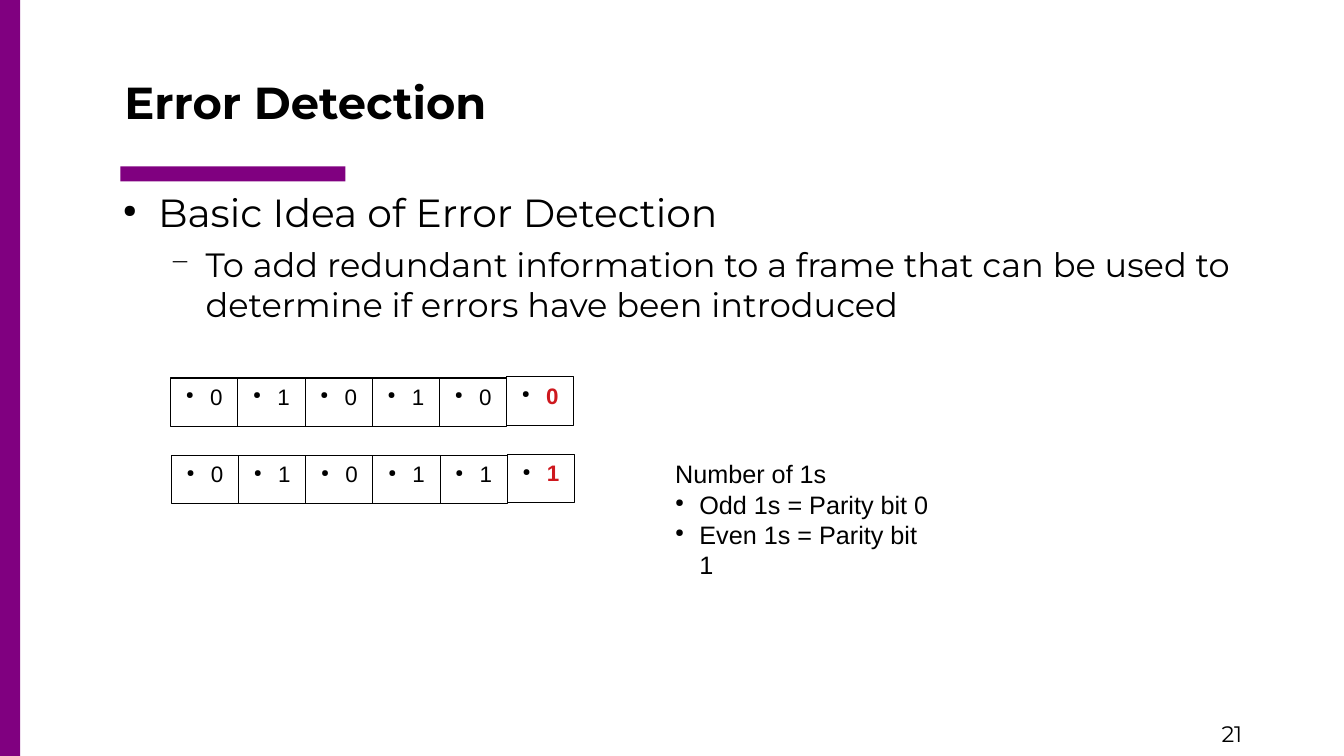
from dataclasses import dataclass

from lxml.etree import SubElement
from pptx import Presentation
from pptx.dml.color import RGBColor
from pptx.enum.shapes import MSO_SHAPE
from pptx.enum.text import MSO_ANCHOR, PP_ALIGN
from pptx.oxml.ns import qn
from pptx.util import Inches, Pt

WIDTH, HEIGHT = Inches(13.33), Inches(7.5)
COLS, ROWS = 20, 20


@dataclass(frozen=True)
class Theme:
    ink: str = "000000"
    bar: str = "800080"
    red: str = "CE181E"
    head: str = "Montserrat"
    plain: str = "Arial"
    title: int = 32
    main: int = 28
    sub: int = 24
    note: int = 18
    small: int = 16


THEME = Theme()


@dataclass(frozen=True)
class Box:
    """Place and size in grid columns and rows."""
    col: float
    row: float
    wide: float
    high: float

    def place(self) -> tuple[int, int, int, int]:
        return (int(self.col * WIDTH / COLS), int(self.row * HEIGHT / ROWS),
                int(self.wide * WIDTH / COLS), int(self.high * HEIGHT / ROWS))


@dataclass(frozen=True)
class Line:
    """One paragraph; left and hang are inches."""
    text: str
    size: int
    face: str = THEME.plain
    tint: str = THEME.ink
    bold: bool = False
    mark: str = ""
    scale: int = 45
    left: float = 0
    hang: float = 0
    gap: int = 0
    align: PP_ALIGN = PP_ALIGN.LEFT


@dataclass(frozen=True)
class Frame:
    """A row of bits that ends in a parity bit."""
    col: float
    row: float
    bits: str


BARS = [Box(1.79, 4.4, 3.35, 0.4), Box(0, 0, 0.3, ROWS)]
FRAMES = [Frame(2.54, 10, "010100"), Frame(2.55, 12.05, "010111")]
CELL_HIGH, RISE = 1.28, 0.03

TITLE = Line("Error Detection", THEME.title, THEME.head, bold=True, left=0.24)
BODY = [
    Line("Basic Idea of Error Detection", THEME.main, THEME.head,
         mark="●", left=0.47, hang=0.35),
    Line("To add redundant information to a frame that can be used to "
         "determine if errors have been introduced", THEME.sub, THEME.head,
         mark="−", scale=75, left=0.94, hang=0.35, gap=6),
]
NOTE = [Line("Number of 1s", THEME.note)] + [
    Line(text, THEME.note, mark="●", left=0.24, hang=0.24)
    for text in ("Odd 1s = Parity bit 0", "Even 1s = Parity bit 1")
]


def style(para, line: Line) -> None:
    para.text = line.text
    para.alignment = line.align
    props = para._p.get_or_add_pPr()
    props.set("marL", str(Inches(line.left)))
    props.set("indent", str(-Inches(line.hang)))
    if line.mark:
        tint = SubElement(props, qn("a:buClr"))
        SubElement(tint, qn("a:srgbClr"), val=line.tint if not line.bold else THEME.ink)
        SubElement(props, qn("a:buSzPct"), val=str(line.scale * 1000))
        SubElement(props, qn("a:buChar"), char=line.mark)
    if line.gap:
        para.space_before = Pt(line.gap)
    font = para.font
    font.name, font.size, font.bold = line.face, Pt(line.size), line.bold
    font.color.rgb = RGBColor.from_string(line.tint)


def fill_text(frame, lines: list[Line], wrap: bool = True) -> None:
    frame.word_wrap = wrap
    for num, line in enumerate(lines):
        style(frame.add_paragraph() if num else frame.paragraphs[0], line)


def add_text(slide, box: Box, lines: list[Line], wrap: bool = True) -> None:
    fill_text(slide.shapes.add_textbox(*box.place()).text_frame, lines, wrap)


def add_rect(slide, box: Box):
    rect = slide.shapes.add_shape(MSO_SHAPE.RECTANGLE, *box.place())
    rect.shadow.inherit = False
    return rect


def add_bar(slide, box: Box) -> None:
    bar = add_rect(slide, box)
    bar.fill.solid()
    bar.fill.fore_color.rgb = RGBColor.from_string(THEME.bar)
    bar.line.fill.background()


def add_frame(slide, frame: Frame) -> None:
    for num, bit in enumerate(frame.bits):
        last = num == len(frame.bits) - 1
        row = frame.row - RISE if last else frame.row
        cell = add_rect(slide, Box(frame.col + num, row, 1, CELL_HIGH))
        cell.fill.background()
        cell.line.color.rgb = RGBColor.from_string(THEME.ink)
        cell.line.width = Pt(0.75)
        cell.text_frame.vertical_anchor = MSO_ANCHOR.TOP
        fill_text(cell.text_frame, [
            Line(bit, THEME.small, tint=THEME.red if last else THEME.ink,
                 bold=last, mark="●", left=0.24, hang=0.24,
                 align=PP_ALIGN.CENTER)])


def main() -> None:
    deck = Presentation()
    deck.slide_width, deck.slide_height = WIDTH, HEIGHT
    slide = deck.slides.add_slide(deck.slide_layouts[5])

    # Purple bars and page number
    for bar in BARS:
        add_bar(slide, bar)
    add_text(slide, Box(18.03, 18.93, 1.95, 1.07),
             [Line("21", THEME.small, THEME.head)])

    # Title
    title = slide.shapes.title
    title.left, title.top, title.width, title.height = Box(
        1.34, 1.33, 18.12, 2.21).place()
    title.text_frame.vertical_anchor = MSO_ANCHOR.BOTTOM
    fill_text(title.text_frame, [TITLE])

    # Main points
    add_text(slide, Box(1.5, 4.85, 18.09, 4), BODY)

    # Bit frames and parity rule
    for frame in FRAMES:
        add_frame(slide, frame)
    add_text(slide, Box(9.9, 12, 4.2, 2.5), NOTE, wrap=False)

    deck.save("out.pptx")


if __name__ == "__main__":
    main()
